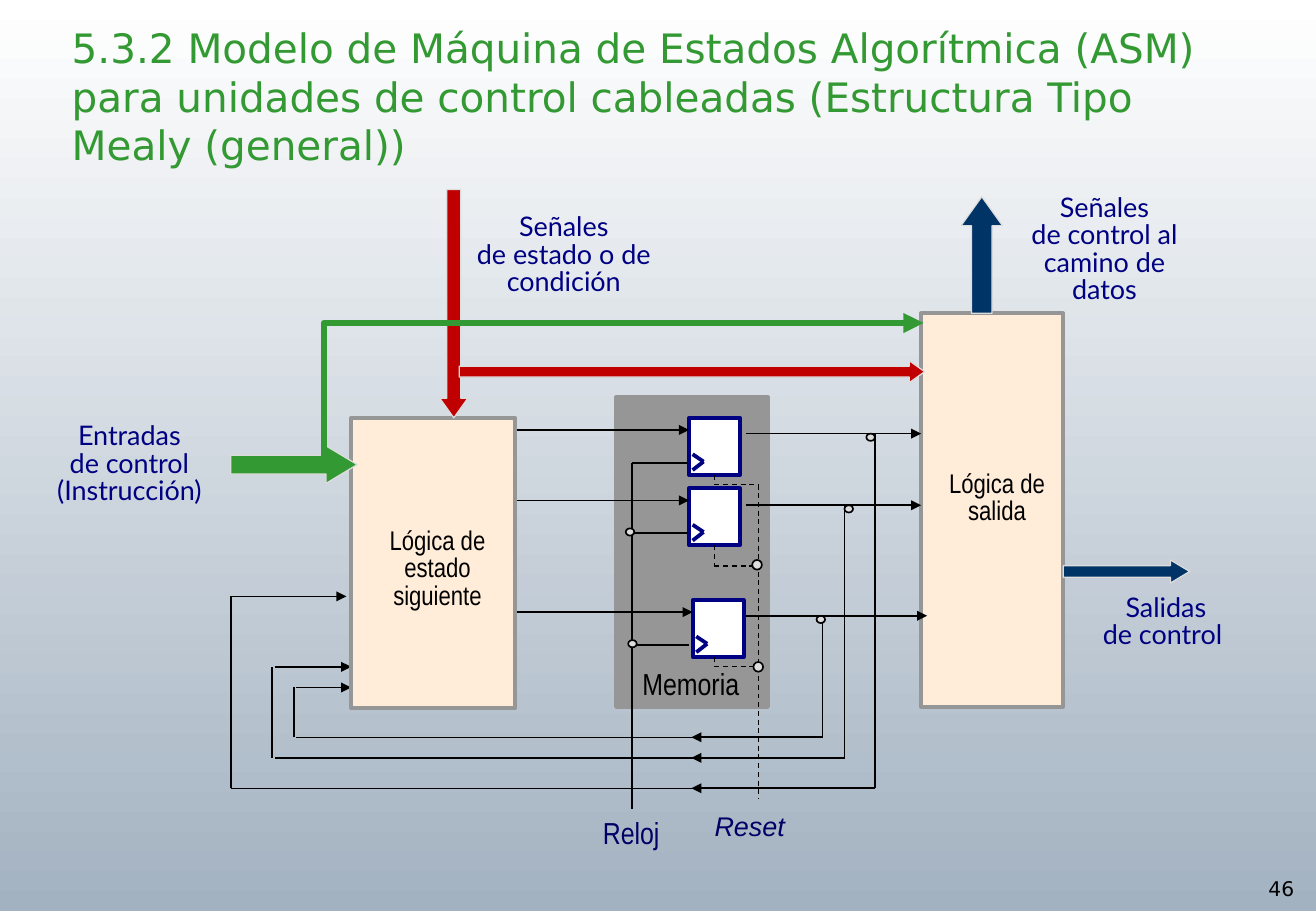
from lxml import etree
from pptx import Presentation
from pptx.dml.color import RGBColor
from pptx.enum.dml import MSO_LINE
from pptx.enum.shapes import MSO_CONNECTOR as CONN, MSO_SHAPE as SHAPE
from pptx.enum.text import MSO_ANCHOR, MSO_AUTO_SIZE, PP_ALIGN
from pptx.oxml.ns import qn
from pptx.util import Pt

PX = 9144  # 100 px to the inch
COLORS = {k: RGBColor.from_string(v) for k, v in {
    "white": "FFFFFF", "sky": "A3B2C1", "black": "000000", "gray": "969696",
    "pale": "DDDDDD", "cream": "FFECD9", "navy": "000082", "ink": "000066",
    "green": "339933", "red": "C00000", "blue": "003366"}.items()}

prs = Presentation()
prs.slide_width, prs.slide_height = 1083 * PX, 750 * PX
s = prs.slides.add_slide(prs.slide_layouts[5])
bg = s.background.fill
bg.gradient()
bg.gradient_angle = 270
for stop, name in zip(bg.gradient_stops, ("white", "sky")):
    stop.color.rgb = COLORS[name]


def shape(kind, x, y, w, h, fill, outline, weight, adj=()):
    sp = s.shapes.add_shape(kind, x * PX, y * PX, w * PX, h * PX)
    sp.shadow.inherit = False
    sp.fill.solid()
    sp.fill.fore_color.rgb = COLORS[fill]
    sp.line.color.rgb = COLORS[outline]
    sp.line.width = Pt(weight)
    for i, value in enumerate(adj):
        sp.adjustments[i] = value
    return sp


def line(x1, y1, x2, y2, weight=1, color="black", arrow=False, dash=False, kind=CONN.STRAIGHT):
    c = s.shapes.add_connector(kind, x1 * PX, y1 * PX, x2 * PX, y2 * PX)
    c.line.color.rgb = COLORS[color]
    c.line.width = Pt(weight)
    if dash:
        c.line.dash_style = MSO_LINE.DASH
    sp_pr = c._element.spPr
    if arrow:
        etree.SubElement(sp_pr.find(qn("a:ln")), qn("a:tailEnd"), type="triangle")
    etree.SubElement(sp_pr, qn("a:effectLst"))
    return c


# Title
title = s.shapes.title
for name, value in {"left": 49, "top": 14, "width": 948, "height": 130}.items():
    setattr(title, name, value * PX)
tf = title.text_frame
tf.text = ("5.3.2 Modelo de Máquina de Estados Algorítmica (ASM) para unidades "
           "de control cableadas (Estructura Tipo Mealy (general))")
for name, value in {"auto_size": MSO_AUTO_SIZE.NONE, "word_wrap": True,
                    "vertical_anchor": MSO_ANCHOR.BOTTOM}.items():
    setattr(tf, name, value)
p = tf.paragraphs[0]
p.alignment = PP_ALIGN.LEFT
p.font.name, p.font.size = "DejaVu Sans", Pt(24)
p.font.color.rgb = COLORS["green"]

# Memory with its clock and flip-flops
shape(SHAPE.RECTANGLE, 507, 327, 125, 255, "gray", "gray", 2.25)
flip_flop_spots = [(567, 344), (567, 402), (570, 494)]
for x, y in flip_flop_spots:
    line(567, y + 37, 520, y + 37)
line(520, 381, 520, 666)
for x, y in [(515, 435), (517, 527)]:
    shape(SHAPE.OVAL, x, y, 7, 6, "pale", "black", 1)
flip_flops = []
for x, y in flip_flop_spots:
    flip_flops.append(shape(SHAPE.RECTANGLE, x, y, 42, 47, "white", "navy", 2.25))
    for dy in (30, 43):
        line(x + 3, y + dy, x + 12, y + 36, 2.25, "navy")
    line(397, y + 10, x, y + 10, arrow=True)

# Feedback: output y, branch x, tap x, dot x, return y, left x, lead x, entry y, entry end
feedback = [(357, 713, 720, 713, 649, 190, 190, 491, 285),
            (416, 686, 695, 695, 624, 224, 226, 549, 289),
            (507, 668, 677, 672, 607, 242, 244, 566, 289)]
for out_y, branch, tap, dot, back_y, left, lead, entry_y, entry_end in feedback:
    line(tap, back_y, tap, out_y)
    line(branch, out_y, 614, out_y)
    shape(SHAPE.OVAL, dot, out_y, 7, 6, "pale", "black", 1)
    line(659, back_y, lead, back_y, 0.75)
    line(tap, back_y, 569, back_y, arrow=True)
    line(left, back_y, left, entry_y)
    line(lead, entry_y, entry_end, entry_y, arrow=True)

# Logic blocks and output arrows
shape(SHAPE.RECTANGLE, 289, 344, 135, 239, "cream", "gray", 2.25)
shape(SHAPE.RECTANGLE, 758, 258, 117, 324, "cream", "gray", 2.25)
for (out_y, branch, *_), end in zip(feedback, (758, 758, 763)):
    line(branch, out_y, end, out_y, arrow=True)

# Reset network
for ff, bottom, y in zip(flip_flops, (391, 449, 541), (399, 466, 549)):
    drop = line(588, bottom, 588, y, 0.75, dash=True)
    if ff.left == 567 * PX:
        drop.begin_connect(ff, 2)
    line(588, y, 624, y, 0.75, dash=True)
line(624, 399, 624, 657, 0.75, dash=True)
for x, y in [(619, 461), (620, 545)]:
    shape(SHAPE.OVAL, x, y, 8, 8, "pale", "black", 1)

# Block arrows
for kind, x, y, w, h, fill, head in [
        (SHAPE.RIGHT_ARROW, 190, 367, 104, 31, "green", 0.83),
        (SHAPE.DOWN_ARROW, 362, 156, 23, 188, "red", 0.7),
        (SHAPE.RIGHT_ARROW, 875, 461, 104, 19, "blue", 0.83),
        (SHAPE.UP_ARROW, 791, 162, 34, 96, "blue", 0.7),
        (SHAPE.RIGHT_ARROW, 378, 297, 383, 18, "red", 0.7)]:
    shape(kind, x, y, w, h, fill, "pale", 0.75, (0.5, head))
bypass = line(268, 383, 760, 266, 4, "green", arrow=True, kind=CONN.ELBOW)
guides = bypass._element.spPr.find(qn("a:prstGeom")).get_or_add_avLst()
etree.SubElement(guides, qn("a:gd"), name="adj1", fmla="val -300")

# Labels
for x, y, w, h, text, size, font, color, wrap in [
        (481, 670, 77, 36, "Reloj", 18, "Arial Narrow", "ink", False),
        (510, 547, 117, 36, "Memoria", 18, "Arial Narrow", "black", False),
        (299, 430, 122, 78, "Lógica de estado siguiente", 16, "Arial Narrow", "black", True),
        (768, 383, 105, 78, "Lógica de salida", 16, "Arial Narrow", "black", True),
        (578, 666, 78, 33, "Reset", 16, "Arial", "ink", False),
        (34, 344, 145, 78, "Entradas\nde control\n(Instrucción)", 16, "Lato", "navy", False),
        (378, 172, 172, 79, "Señales\nde estado o de condición", 16, "Lato", "navy", True),
        (831, 156, 156, 102, "Señales\nde control al camino de datos", 16, "Lato", "navy", True),
        (897, 485, 125, 56, "Salidas\nde control ", 16, "Lato", "navy", False),
        (1026, 720, 57, 30, "46", 12, "DejaVu Sans", "black", False)]:
    tf = s.shapes.add_textbox(x * PX, y * PX, w * PX, h * PX).text_frame
    tf.word_wrap = wrap
    tf.text = text
    for p in tf.paragraphs:
        p.alignment = PP_ALIGN.CENTER
        p.line_spacing = 0.85
        for name, value in {"name": font, "size": Pt(size), "italic": text == "Reset"}.items():
            setattr(p.font, name, value)
        p.font.color.rgb = COLORS[color]

prs.save("out.pptx")
